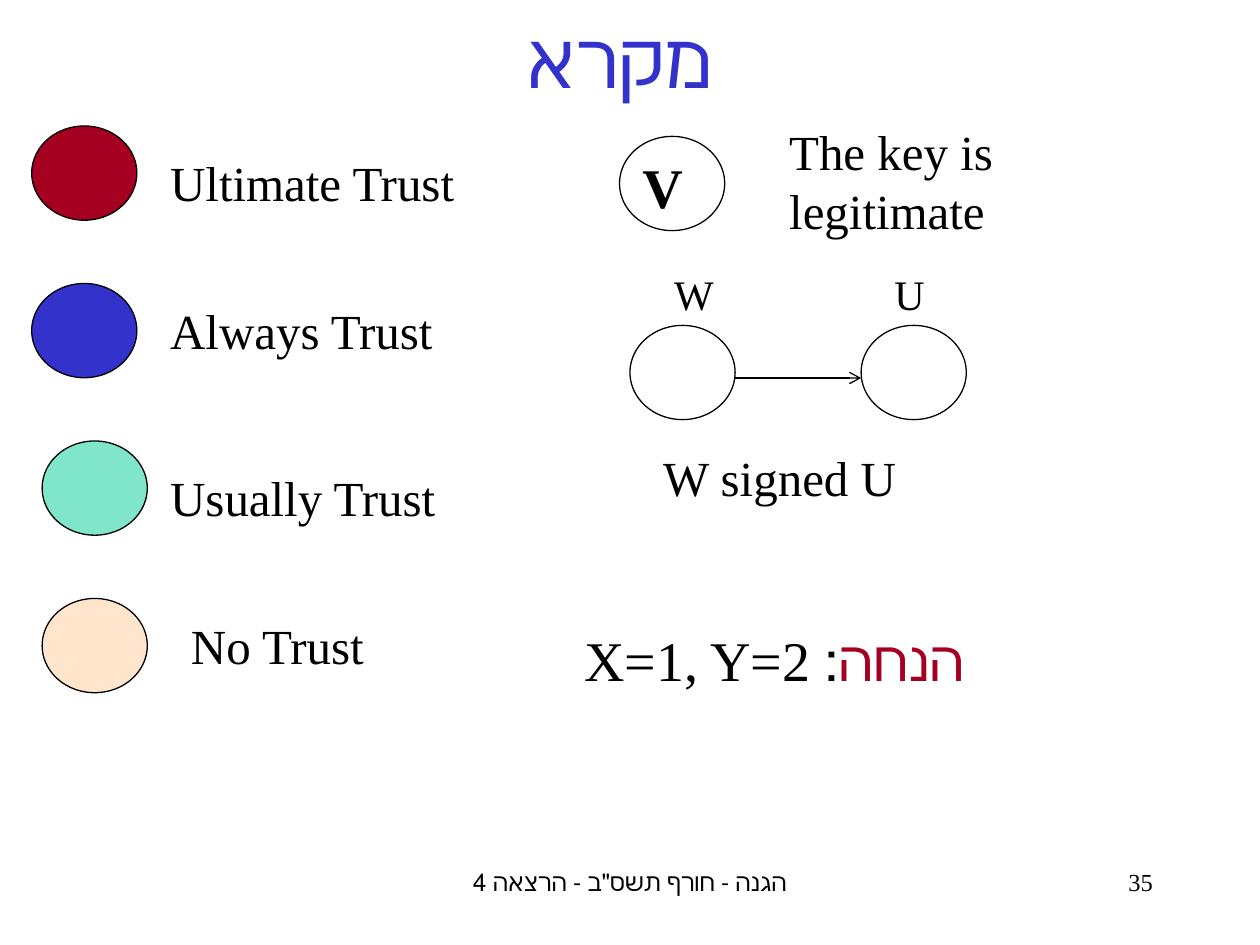
import dataclasses

import lxml.etree
import pptx
import pptx.dml.color
import pptx.enum.shapes
import pptx.enum.text
import pptx.oxml.ns
import pptx.util

Cm = pptx.util.Cm
Align = pptx.enum.text.PP_ALIGN
qn = pptx.oxml.ns.qn


@dataclasses.dataclass(frozen=True)
class Theme:
    font: str = "Times New Roman"
    black: str = "000000"
    white: str = "FFFFFF"
    blue: str = "3333CC"
    red: str = "A50021"
    green: str = "00CC99"
    peach: str = "FFCC99"
    title: int = 44
    large: int = 32
    label: int = 28
    node: int = 24
    footer: int = 14
    line: float = 0.75


theme = Theme()
rgb = pptx.dml.color.RGBColor.from_string

presentation = pptx.Presentation()
presentation.slide_width, presentation.slide_height = Cm(25.4), Cm(19.05)
slide = presentation.slides.add_slide(presentation.slide_layouts[5])


def add_circle(left, top, color, opacity=100):
    circle = slide.shapes.add_shape(
        pptx.enum.shapes.MSO_SHAPE.OVAL, Cm(left), Cm(top), Cm(2.12), Cm(1.9))
    circle.shadow.inherit = False
    circle.fill.solid()
    circle.fill.fore_color.rgb = rgb(color)
    if opacity < 100:
        fill_color = circle._element.spPr.find(qn("a:solidFill"))[0]
        lxml.etree.SubElement(fill_color, qn("a:alpha"), val=str(opacity * 1000))
    circle.line.color.rgb = rgb(theme.black)
    circle.line.width = pptx.util.Pt(theme.line)


def add_text(left, top, width, height, text, size, alignment=Align.LEFT):
    box = slide.shapes.add_textbox(Cm(left), Cm(top), Cm(width), Cm(height))
    box.text_frame.word_wrap = True
    paragraph = box.text_frame.paragraphs[0]
    paragraph.text = text
    paragraph.alignment = alignment
    paragraph.font.name = theme.font
    paragraph.font.size = pptx.util.Pt(size)
    paragraph.font.color.rgb = rgb(theme.black)
    return paragraph


title = slide.shapes.title
title.left, title.top, title.width, title.height = Cm(1.7), Cm(0), Cm(21.59), Cm(2.33)
title.text_frame.text = "מקרא"
title.text_frame.vertical_anchor = pptx.enum.text.MSO_ANCHOR.MIDDLE
title_paragraph = title.text_frame.paragraphs[0]
title_paragraph.alignment = Align.CENTER
title_paragraph._p.get_or_add_pPr().set("rtl", "1")
title_paragraph.font.name = theme.font
title_paragraph.font.size = pptx.util.Pt(theme.title)
title_paragraph.font.color.rgb = rgb(theme.blue)

trust_levels = [
    ("Ultimate Trust", theme.red, 100, 0.64, 3.18, 2.96),
    ("Always Trust", theme.blue, 100, 0.64, 3.18, 5.93),
    ("Usually Trust", theme.green, 50, 0.85, 3.18, 9.31),
    ("No Trust", theme.peach, 50, 0.85, 3.6, 12.28),
]
for row, (name, color, opacity, left, text_left, text_top) in enumerate(trust_levels):
    add_circle(left, 2.54 + 3.175 * row, color, opacity)
    add_text(text_left, text_top, 7.2, 1.44, name, theme.label)

add_circle(12.49, 2.75, theme.white)
add_text(12.7, 2.96, 2.12, 1.62, "V", theme.large).font.bold = True
add_text(15.66, 2.33, 7.2, 2.65, "The key is legitimate", theme.label)

for name, left, text_left in [("W", 12.7, 13.34), ("U", 17.36, 17.78)]:
    add_circle(left, 6.56, theme.white)
    add_text(text_left, 5.29, 1.27, 1.27, name, theme.node)
add_text(13.12, 8.89, 7.2, 1.44, "W signed U", theme.label)

arrow = slide.shapes.add_connector(
    pptx.enum.shapes.MSO_CONNECTOR.STRAIGHT, Cm(14.82), Cm(7.62), Cm(17.36), Cm(7.62))
arrow.line.color.rgb = rgb(theme.black)
arrow.line.width = pptx.util.Pt(theme.line)
lxml.etree.SubElement(arrow.line._get_or_add_ln(), qn("a:tailEnd"), type="arrow")
lxml.etree.SubElement(arrow._element.spPr, qn("a:effectLst"))

assumption = add_text(10.16, 12.49, 9.53, 1.62, "", theme.large, Align.RIGHT)
assumption._p.get_or_add_pPr().set("rtl", "1")
for text, color in [("הנחה", theme.red), (": X=1, Y=2", theme.black)]:
    run = assumption.add_run()
    run.text = text
    run.font.color.rgb = rgb(color)

add_text(8.68, 17.36, 8.04, 1.27, 'הגנה - חורף תשס"ב - הרצאה 4', theme.footer, Align.CENTER)
add_text(18.2, 17.36, 5.29, 1.27, "35", theme.footer, Align.RIGHT)

presentation.save("out.pptx")
